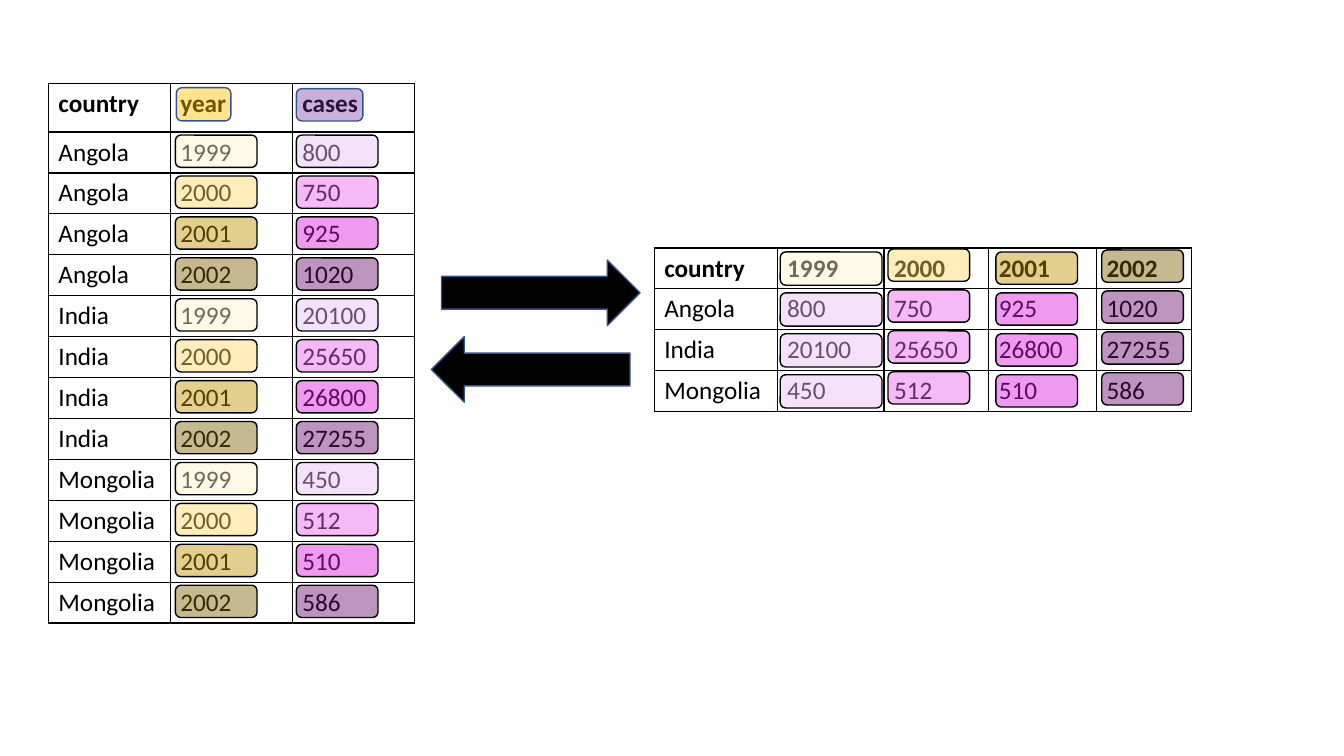
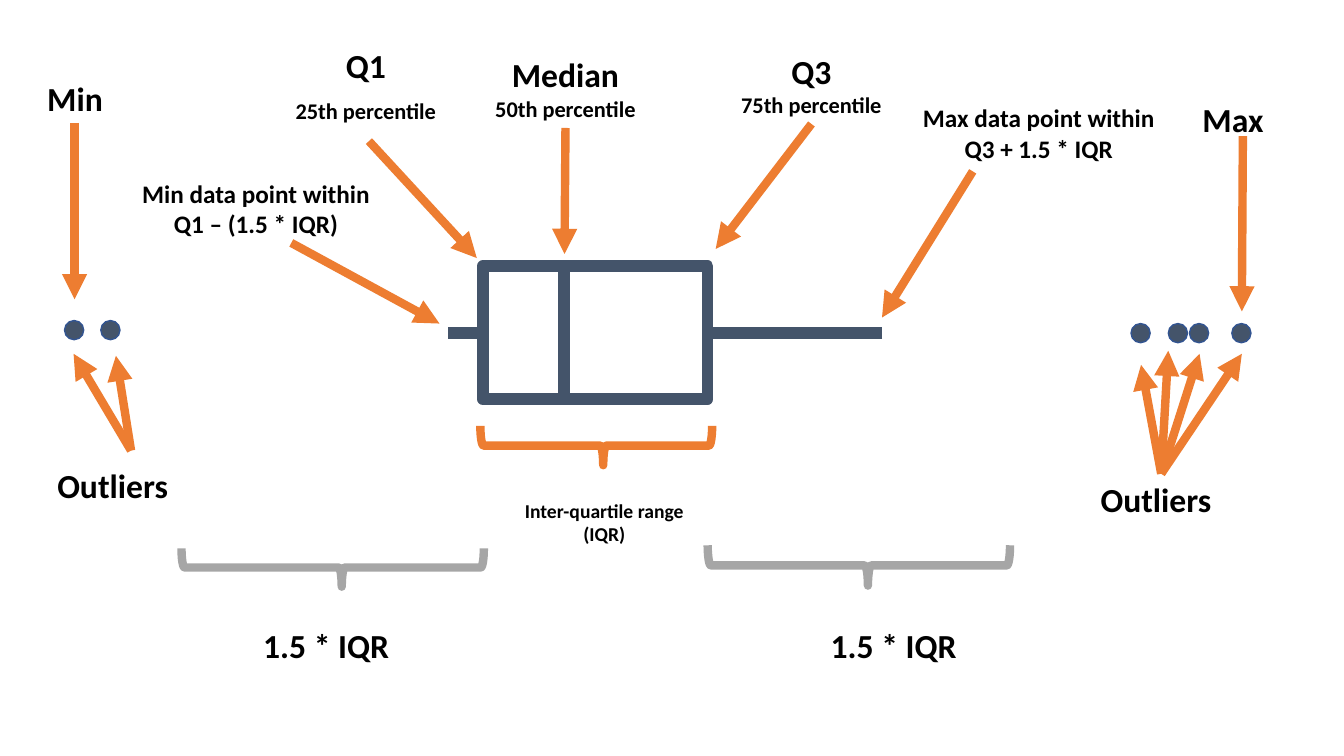
from lxml import etree
from pptx import Presentation
from pptx.dml.color import RGBColor
from pptx.enum.shapes import MSO_CONNECTOR, MSO_SHAPE
from pptx.enum.text import MSO_AUTO_SIZE, PP_ALIGN
from pptx.oxml.ns import qn
from pptx.util import Inches, Pt

RECT, ROUND, OVAL = MSO_SHAPE.RECTANGLE, MSO_SHAPE.ROUNDED_RECTANGLE, MSO_SHAPE.OVAL
ARROW, BRACE = MSO_SHAPE.RIGHT_ARROW, MSO_SHAPE.RIGHT_BRACE
STRAIGHT = MSO_CONNECTOR.STRAIGHT
LEFT, CENTER = PP_ALIGN.LEFT, PP_ALIGN.CENTER
FIT = MSO_AUTO_SIZE.SHAPE_TO_FIT_TEXT

FONT = "Calibri"
BLACK = RGBColor(0x00, 0x00, 0x00)
BLUE = RGBColor(0x32, 0x54, 0x91)
SLATE = RGBColor(0x44, 0x54, 0x6A)
ORANGE = RGBColor(0xED, 0x7D, 0x31)
GREY = RGBColor(0xA6, 0xA6, 0xA6)
GOLD = RGBColor(0xFF, 0xC0, 0x00)
PURPLE = RGBColor(0x70, 0x30, 0xA0)
YEAR_COLORS = [RGBColor(0xFF, 0xF2, 0xCC), RGBColor(0xFF, 0xD9, 0x66),
               RGBColor(0xBF, 0x90, 0x00), RGBColor(0x80, 0x60, 0x00)]
CASE_COLORS = [RGBColor(0xE5, 0xBE, 0xF4), RGBColor(0xE9, 0x60, 0xEC),
               RGBColor(0xD7, 0x1A, 0xDC), RGBColor(0x68, 0x0C, 0x6A)]

# The slide is a grid of 0.1 inch squares; all positions count squares
SQUARE = Inches(0.1)


def grid(*counts):
    return [int(n * SQUARE) for n in counts]


def add_box(s, kind, place, fill, line, width=1, alpha=None):
    sp = s.shapes.add_shape(kind, *grid(*place))
    sp.shadow.inherit = False
    if fill is None:
        sp.fill.background()
    else:
        sp.fill.solid()
        sp.fill.fore_color.rgb = fill
    if alpha:
        color = sp._element.spPr.find(qn("a:solidFill")).find(qn("a:srgbClr"))
        etree.SubElement(color, qn("a:alpha"), val=str(alpha * 1000))
    sp.line.color.rgb = line
    sp.line.width = Pt(width)
    return sp


prs = Presentation()
prs.slide_width, prs.slide_height = grid(133.33, 75)
blank = prs.slide_layouts[6]

# Slide 1: long and wide form of the same data
s = prs.slides.add_slide(blank)
years = ["1999", "2000", "2001", "2002"]
cases = {"Angola": ["800", "750", "925", "1020"],
         "India": ["20100", "25650", "26800", "27255"],
         "Mongolia": ["450", "512", "510", "586"]}
wide = [["country", *years]] + [[name, *row] for name, row in cases.items()]
long = [["country", "year", "cases"]]
for name, row in cases.items():
    long += [[name, year, n] for year, n in zip(years, row)]

ROW = 4.06
tables = [(wide, 64.9, 24.6, [12.2, 10.6, 10.4, 10.7, 9.4], ROW),
          (long, 4.8, 8.3, [12.1] * 3, 4.8)]
for rows, x, y, widths, header in tables:
    heights = [header] + [ROW] * (len(rows) - 1)
    frame = s.shapes.add_table(len(rows), len(widths),
                               *grid(x, y, sum(widths), sum(heights)))
    table = frame.table
    table.first_row = table.horz_banding = False
    for column, w in zip(table.columns, grid(*widths)):
        column.width = w
    for i, (row, h) in enumerate(zip(rows, grid(*heights))):
        table.rows[i].height = h
        for j, text in enumerate(row):
            cell = table.cell(i, j)
            cell.text = text
            font = cell.text_frame.paragraphs[0].runs[0].font
            font.name, font.size, font.bold = FONT, Pt(18), i == 0
            font.color.rgb = BLACK
            tcPr = cell._tc.get_or_add_tcPr()
            for side in ("a:lnL", "a:lnR", "a:lnT", "a:lnB"):
                ln = etree.SubElement(tcPr, qn(side), w=str(Pt(1)))
                solid = etree.SubElement(ln, qn("a:solidFill"))
                etree.SubElement(solid, qn("a:srgbClr"), val=str(BLACK))
            cell.fill.background()

# Highlights over the long table
add_box(s, ROUND, (17.5, 8.7, 5.4, 3.3), GOLD, BLUE, alpha=44)
add_box(s, ROUND, (29.4, 8.8, 6.6, 3.2), PURPLE, BLUE, alpha=38)
for x, colors in ((29.4, CASE_COLORS), (17.4, YEAR_COLORS)):
    for i in range(len(long) - 1):
        add_box(s, ROUND, (x, 13.4 + i * ROW, 8.1, 3.2), colors[i % 4], BLACK, alpha=44)

# Highlights over the wide table
wide_columns = [(77.4, 25, 10.1, 3.3), (88.1, 24.7, 8.1, 3.2),
                (98.8, 25, 8.1, 3.2), (109.3, 24.8, 8.1, 3.2)]
for (x, y, w, h), year_color, case_color in zip(wide_columns, YEAR_COLORS, CASE_COLORS):
    for i in range(len(wide)):
        add_box(s, ROUND, (x, y + i * ROW, w, h), case_color if i else year_color,
                BLACK, alpha=44)

# Arrows between the tables
for x, y, angle in ((43.8, 25.8, 0), (42.8, 33.4, 180)):
    add_box(s, ARROW, (x, y, 19.7, 6.5), BLACK, BLUE).rotation = angle

# Slide 2: parts of a box plot
s = prs.slides.add_slide(blank)

# Box and outlier dots
for x, w in ((47.9, 8), (56, 14.2)):
    add_box(s, RECT, (x, 26.4, w, 13.2), None, SLATE, 8.25)
for x, y in ((112.2, 32.1), (115.9, 32.1), (118, 32.1), (122.2, 32.1),
             (6.4, 31.8), (10, 31.8)):
    add_box(s, OVAL, (x, y, 1.9, 1.9), SLATE, BLUE)

# Braces under the plot
for x, y, w, h, color in ((57.2, 32.7, 3.9, 23, ORANGE),
                          (83.2, 41.1, 4, 30, GREY), (31.1, 41.3, 3.8, 30, GREY)):
    sp = add_box(s, BRACE, (x, y, w, h), None, color, 6)
    sp.rotation = 90
    sp.adjustments[0], sp.adjustments[1] = 0.08, 0.47

# Whiskers, then pointers with arrowheads
whiskers = [(47.9, 33, 44.4, 33), (87.5, 33, 70.6, 33)]
pointers = [(7.4, 12.2, 7.4, 29.7), (80.5, 12.3, 71, 24.7), (56.1, 12.7, 56, 25.2),
            (36.6, 14, 47.3, 25.6), (28.9, 24.1, 43.6, 32.1), (96.5, 17, 87.5, 31.5),
            (123.3, 13.5, 123.2, 30.9)]
pointers += [(13, 44.7, x, y) for x, y in ((11.5, 35.3), (7.3, 35.1))]
pointers += [(115.2, 47, x, y) for x, y in ((123.2, 35.1), (119, 35.1),
                                            (115.9, 34.8), (113.2, 36.2))]
for ends in whiskers + pointers:
    line = s.shapes.add_connector(STRAIGHT, *grid(*ends))
    is_whisker = ends in whiskers
    line.line.color.rgb = SLATE if is_whisker else ORANGE
    line.line.width = Pt(8.5 if is_whisker else 6)
    if not is_whisker:
        etree.SubElement(line.line._get_or_add_ln(), qn("a:tailEnd"), type="triangle")
    etree.SubElement(line._element.spPr, qn("a:effectLst"))

# Labels: place, alignment, space before the second line, (text, size) lines
labels = [
    ((4.7, 45.6, 14, 5), LEFT, 0, [("Outliers", 24)]),
    ((108.2, 47, 14, 5), LEFT, 0, [("Outliers", 24)]),
    ((3.7, 7.2, 9.1, 5), LEFT, 0, [("Min", 24)]),
    ((118.3, 9.3, 9.1, 5), LEFT, 0, [("Max", 24)]),
    ((26.6, 4, 19.4, 9.1), CENTER, 8, [("Q1", 24), ("25th percentile", 16)]),
    ((47.1, 4.9, 18, 7.7), CENTER, 0, [("Median", 24), ("50th percentile", 16)]),
    ((70, 4.6, 21, 7.7), CENTER, 0, [("Q3", 24), ("75th percentile", 16)]),
    ((12.9, 17.2, 25, 7.1), CENTER, 0, [("Min data point within Q1 – (1.5 * IQR)", 18)]),
    ((90.3, 9.7, 25.5, 7.1), CENTER, 0,
     [("Max data point within", 18), ("Q3 + 1.5 * IQR", 18)]),
    ((50.5, 49, 18.9, 5.7), CENTER, 0, [("Inter-quartile range (IQR)", 14)]),
    ((23.9, 61.5, 16.9, 5), CENTER, 0, [("1.5 * IQR", 24)]),
    ((80.2, 61.5, 16.9, 5), CENTER, 0, [("1.5 * IQR", 24)]),
]
for place, align, gap, lines in labels:
    tf = s.shapes.add_textbox(*grid(*place)).text_frame
    tf.word_wrap = True
    tf.auto_size = FIT
    tf.text = "\n".join(text for text, size in lines)
    for i, (p, (text, size)) in enumerate(zip(tf.paragraphs, lines)):
        p.alignment = align
        if i and gap:
            p.space_before = Pt(gap)
        font = p.runs[0].font
        font.name, font.size, font.bold = FONT, Pt(size), True
        font.color.rgb = BLACK

prs.save("out.pptx")
